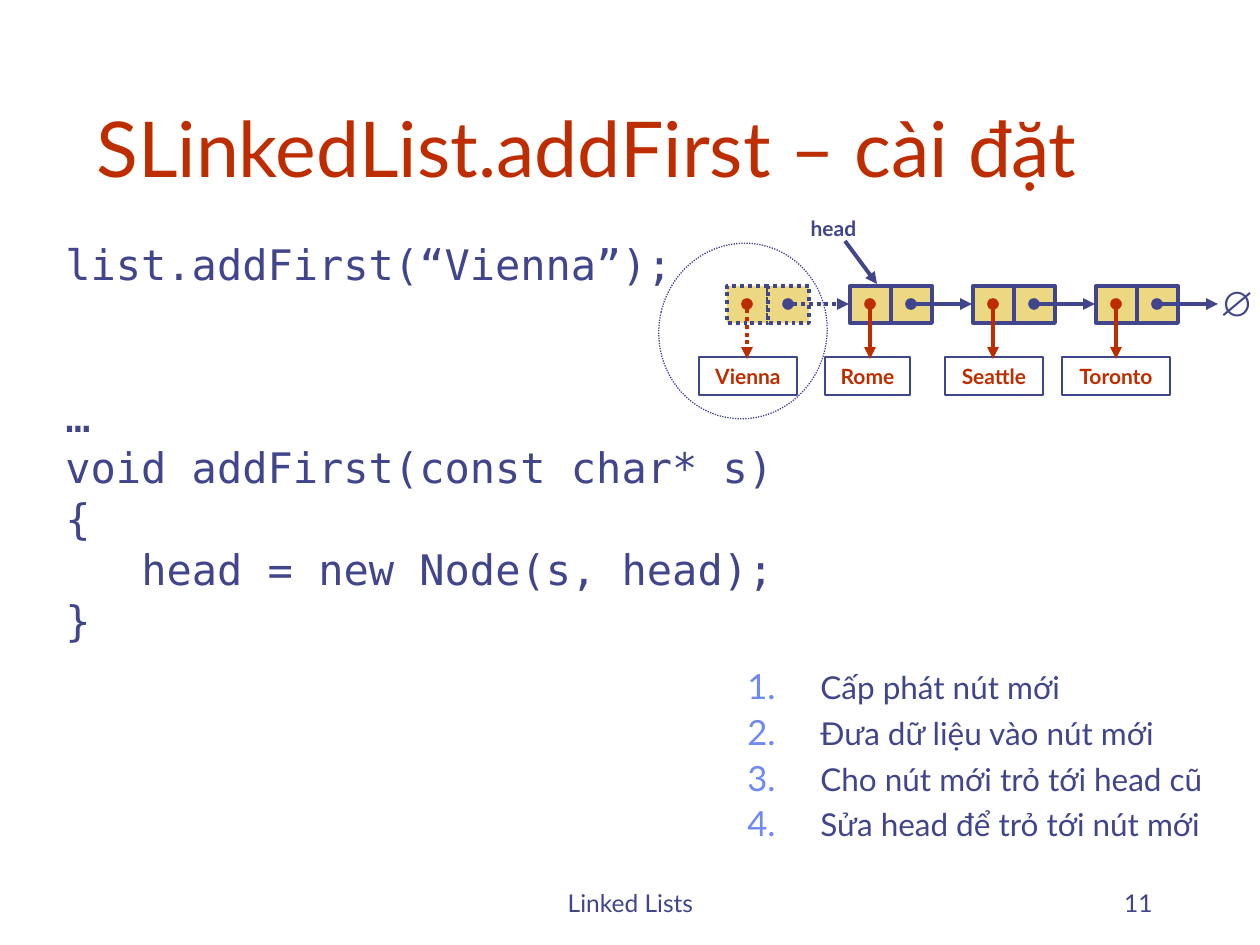
from dataclasses import dataclass

from lxml import etree
from pptx import Presentation
from pptx.dml.color import RGBColor
from pptx.enum.dml import MSO_LINE
from pptx.enum.shapes import MSO_CONNECTOR, MSO_SHAPE
from pptx.enum.text import MSO_ANCHOR, PP_ALIGN
from pptx.oxml.ns import qn
from pptx.util import Emu, Pt

STRAIGHT = MSO_CONNECTOR.STRAIGHT
RECTANGLE, OVAL = MSO_SHAPE.RECTANGLE, MSO_SHAPE.OVAL
TOP, MIDDLE, BOTTOM = MSO_ANCHOR.TOP, MSO_ANCHOR.MIDDLE, MSO_ANCHOR.BOTTOM
LEFT, CENTER, RIGHT = PP_ALIGN.LEFT, PP_ALIGN.CENTER, PP_ALIGN.RIGHT
DOTTED = MSO_LINE.ROUND_DOT

EMU_PER_PX = 914400 / 126


@dataclass(frozen=True)
class Theme:
    ink: str = "40458C"
    accent: str = "BE2D00"
    cell: str = "ECD882"
    number: str = "6F89F7"
    sans: str = "Lato"
    mono: str = "DejaVu Sans Mono"
    symbol: str = "Arial"
    title: int = 44
    code: int = 24
    null: int = 20
    steps: int = 18
    footer: int = 14
    label: int = 12
    thick: float = 2.25
    thin: float = 0.75


THEME = Theme()

CELL_WIDTH, CELL_HEIGHT = 41, 37
NODE_LEFT, NODE_TOP, NODE_PITCH = 727, 286, 123
LINK_Y, LABEL_TOP, LABEL_HEIGHT = 304, 357, 38
NODES = [("Vienna", 699, 98), ("Rome", 825, 85), ("Seattle", 945, 98), ("Toronto", 1062, 108)]

CODE_LINES = [
    ("list.addFirst(“Vienna”);", 6, 0),
    ("…", 64, 0),
    ("void addFirst(const char* s)", 6, 0),
    ("{", 6, 0),
    ("head = new Node(s, head);", 6, 76),
    ("}", 6, 0),
]
STEPS = [
    "Cấp phát nút mới",
    "Đưa dữ liệu vào nút mới",
    "Cho nút mới trỏ tới head cũ",
    "Sửa head để trỏ tới nút mới",
]


def px(value):
    return Emu(round(value * EMU_PER_PX))


def rgb(value):
    return RGBColor.from_string(value)


def apply_format(target, values):
    for name, value in values.items():
        setattr(target, name, value)


def style_line(line, color, width, dash=None):
    line.color.rgb = rgb(color)
    apply_format(line, {"width": Pt(width), "dash_style": dash})


def write_paragraphs(frame, lines, size, color=THEME.ink, font=THEME.sans, bold=False,
                     align=LEFT, anchor=TOP, wrap=True):
    apply_format(frame, {"word_wrap": wrap, "vertical_anchor": anchor})
    for index, line in enumerate(lines):
        paragraph = frame.add_paragraph() if index else frame.paragraphs[0]
        paragraph.alignment = align
        run = paragraph.add_run()
        run.text = line
        apply_format(run.font, {"name": font, "size": Pt(size), "bold": bold})
        run.font.color.rgb = rgb(color)
    return frame.paragraphs


def add_text(slide, box, lines, size, **options):
    shape = slide.shapes.add_textbox(*map(px, box))
    return write_paragraphs(shape.text_frame, lines, size, **options)


def add_outline(slide, kind, box, width, fill=None, dash=None):
    shape = slide.shapes.add_shape(kind, *map(px, box))
    shape.shadow.inherit = False
    if fill:
        shape.fill.solid()
        shape.fill.fore_color.rgb = rgb(fill)
    else:
        shape.fill.background()
    style_line(shape.line, THEME.ink, width, dash)
    return shape


def add_arrow(slide, start, end, color=THEME.ink, dash=None, dot=True):
    arrow = slide.shapes.add_connector(STRAIGHT, *map(px, start + end))
    style_line(arrow.line, color, THEME.thick, dash)
    properties = arrow._element.spPr
    outline = properties.find(qn("a:ln"))
    if dot:
        etree.SubElement(outline, qn("a:headEnd"), type="oval")
    etree.SubElement(outline, qn("a:tailEnd"), type="triangle")
    etree.SubElement(properties, qn("a:effectLst"))


def set_indent(paragraph, margin, indent):
    properties = paragraph._p.get_or_add_pPr()
    properties.set("marL", str(px(margin)))
    properties.set("indent", str(px(indent)))
    return properties


def add_code(slide):
    lines = [text for text, _, _ in CODE_LINES]
    paragraphs = add_text(slide, (53, 242, 1323, 73), lines, THEME.code, font=THEME.mono)
    for paragraph, (_, before, margin) in zip(paragraphs, CODE_LINES):
        apply_format(paragraph, {"line_spacing": 0.8, "space_before": Pt(before)})
        set_indent(paragraph, margin or 48, 0 if margin else -48)


def add_steps(slide):
    for paragraph in add_text(slide, (735, 662, 557, 220), STEPS, THEME.steps):
        paragraph.space_before = Pt(4.5)
        properties = set_indent(paragraph, 73, -73)
        color = etree.SubElement(properties, qn("a:buClr"))
        etree.SubElement(color, qn("a:srgbClr"), val=THEME.number)
        etree.SubElement(properties, qn("a:buSzPct"), val="110000")
        etree.SubElement(properties, qn("a:buFont"), typeface=THEME.sans)
        etree.SubElement(properties, qn("a:buAutoNum"), type="arabicPeriod")


def add_node(slide, index, name, label_left, label_width):
    left = NODE_LEFT + index * NODE_PITCH
    dash = None if index else DOTTED
    for cell in range(2):
        box = (left + cell * CELL_WIDTH, NODE_TOP, CELL_WIDTH, CELL_HEIGHT)
        add_outline(slide, RECTANGLE, box, THEME.thick, THEME.cell, dash)
    label = add_outline(slide, RECTANGLE, (label_left, LABEL_TOP, label_width, LABEL_HEIGHT), THEME.thin)
    write_paragraphs(label.text_frame, [name], THEME.label, color=THEME.accent, bold=True,
                     align=CENTER, anchor=MIDDLE, wrap=False)
    data_x, link_x = left + 20, left + 61
    add_arrow(slide, (data_x, LINK_Y), (data_x, 359), THEME.accent, dash)
    add_arrow(slide, (link_x, LINK_Y), (left + NODE_PITCH - 1, LINK_Y), dash=dash)


def add_linked_list(slide):
    ring = add_outline(slide, OVAL, (659, 243, 168, 176), THEME.thin, dash=DOTTED)
    ring.rotation = 13
    for index, node in enumerate(NODES):
        add_node(slide, index, *node)
    add_arrow(slide, (845, 241), (877, 284), dot=False)
    marker = {"bold": True, "align": CENTER, "wrap": False}
    add_text(slide, (795, 209, 77, 38), ["head"], THEME.label, **marker)
    add_text(slide, (1207, 275, 53, 55), ["∅"], THEME.null, font=THEME.symbol, **marker)


def main():
    presentation = Presentation()
    apply_format(presentation, {"slide_width": px(1260), "slide_height": px(945)})
    slide = presentation.slides.add_slide(presentation.slide_layouts[6])
    add_text(slide, (84, 42, 1071, 157), ["SLinkedList.addFirst – cài đặt"], THEME.title,
             color=THEME.accent, anchor=BOTTOM)
    add_linked_list(slide)
    add_code(slide)
    add_steps(slide)
    add_text(slide, (431, 861, 399, 63), ["Linked Lists"], THEME.footer, align=CENTER, anchor=BOTTOM)
    add_text(slide, (903, 861, 262, 63), ["11"], THEME.footer, align=RIGHT, anchor=BOTTOM)
    presentation.save("out.pptx")


if __name__ == "__main__":
    main()
